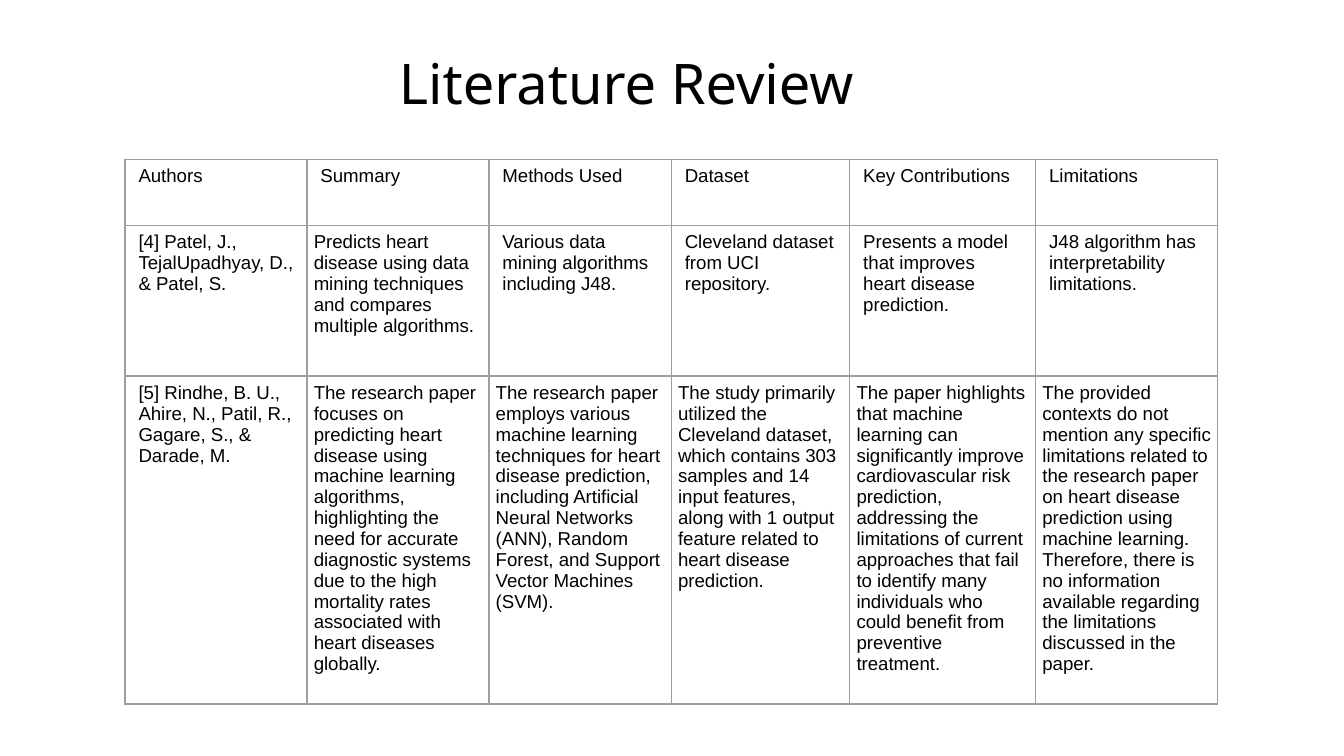
from lxml.etree import SubElement
from pptx import Presentation
from pptx.dml.color import RGBColor
from pptx.enum.text import PP_ALIGN
from pptx.oxml.ns import qn
from pptx.util import Pt

COLORS = {"text": "000000", "border": "9E9E9E"}

COL_WIDTHS = [97.5, 97.5, 97.7, 95.6, 99.6, 97.5]
ROW_HEIGHTS = [35.4, 80.8, 175.7]
WIDE, NARROW = 7.2, 3.6  # side margins of cells
NARROW_CELLS = {(1, 1)} | {(2, col) for col in range(1, 6)}

ROWS = [
    ["Authors", "Summary", "Methods Used", "Dataset", "Key Contributions", "Limitations"],
    [
        "[4] Patel, J., TejalUpadhyay, D., & Patel, S.",
        "Predicts heart disease using data mining techniques and compares "
        "multiple algorithms.",
        "Various data mining algorithms including J48.",
        "Cleveland dataset from UCI repository.",
        "Presents a model that improves heart disease prediction.",
        "J48 algorithm has interpretability limitations.",
    ],
    [
        "[5] Rindhe, B. U., Ahire, N., Patil, R., Gagare, S., & Darade, M.",
        "The research paper focuses on predicting heart disease using machine "
        "learning algorithms, highlighting the need for accurate diagnostic systems "
        "due to the high mortality rates associated with heart diseases globally.",
        "The research paper employs various machine learning techniques for heart "
        "disease prediction, including Artificial Neural Networks (ANN), Random "
        "Forest, and Support Vector Machines (SVM).",
        "The study primarily utilized the Cleveland dataset, which contains 303 "
        "samples and 14 input features, along with 1 output feature related to "
        "heart disease prediction.",
        "The paper highlights that machine learning can significantly improve "
        "cardiovascular risk prediction, addressing the limitations of current "
        "approaches that fail to identify many individuals who could benefit from "
        "preventive treatment.",
        "The provided contexts do not mention any specific limitations related to "
        "the research paper on heart disease prediction using machine learning. "
        "Therefore, there is no information available regarding the limitations "
        "discussed in the paper.",
    ],
]


def add_run(p, text, size, font):
    r = p.add_run()
    r.text = text
    r.font.size = Pt(size)
    r.font.name = font
    r.font.color.rgb = RGBColor.from_string(COLORS["text"])


def add_title(slide, text):
    sp = slide.shapes.add_textbox(Pt(168.5), Pt(25.2), Pt(334), Pt(36.7))
    tf = sp.text_frame
    tf.word_wrap = True
    tf.margin_left = tf.margin_right = tf.margin_bottom = 0
    tf.margin_top = Pt(0.7)
    p = tf.paragraphs[0]
    p.alignment = PP_ALIGN.CENTER
    add_run(p, text, 30, "Noto Sans")


def set_borders(cell):
    props = cell._tc.get_or_add_tcPr()
    for side in ("a:lnL", "a:lnR", "a:lnT", "a:lnB"):
        line = SubElement(props, qn(side), w=str(Pt(0.75)))
        fill = SubElement(line, qn("a:solidFill"))
        SubElement(fill, qn("a:srgbClr"), val=COLORS["border"])


def fill_cell(cell, text, side_margin):
    cell.margin_left = cell.margin_right = Pt(side_margin)
    cell.margin_top = cell.margin_bottom = Pt(3.6)
    set_borders(cell)
    cell.fill.background()
    add_run(cell.text_frame.paragraphs[0], text, 10, "Arial")


def add_review_table(slide):
    frame = slide.shapes.add_table(
        len(ROW_HEIGHTS), len(COL_WIDTHS), Pt(67), Pt(85.3),
        Pt(sum(COL_WIDTHS)), Pt(sum(ROW_HEIGHTS)))
    table = frame.table
    table.first_row = table.horz_banding = False
    for column, width in zip(table.columns, COL_WIDTHS):
        column.width = Pt(width)
    for row, height in zip(table.rows, ROW_HEIGHTS):
        row.height = Pt(height)
    for i, texts in enumerate(ROWS):
        for j, text in enumerate(texts):
            margin = NARROW if (i, j) in NARROW_CELLS else WIDE
            fill_cell(table.cell(i, j), text, margin)


def main():
    prs = Presentation()
    prs.slide_width, prs.slide_height = Pt(720), Pt(405)
    slide = prs.slides.add_slide(prs.slide_layouts[6])

    # Heading
    add_title(slide, "Literature Review")

    # Reviewed papers
    add_review_table(slide)

    prs.save("out.pptx")


if __name__ == "__main__":
    main()
